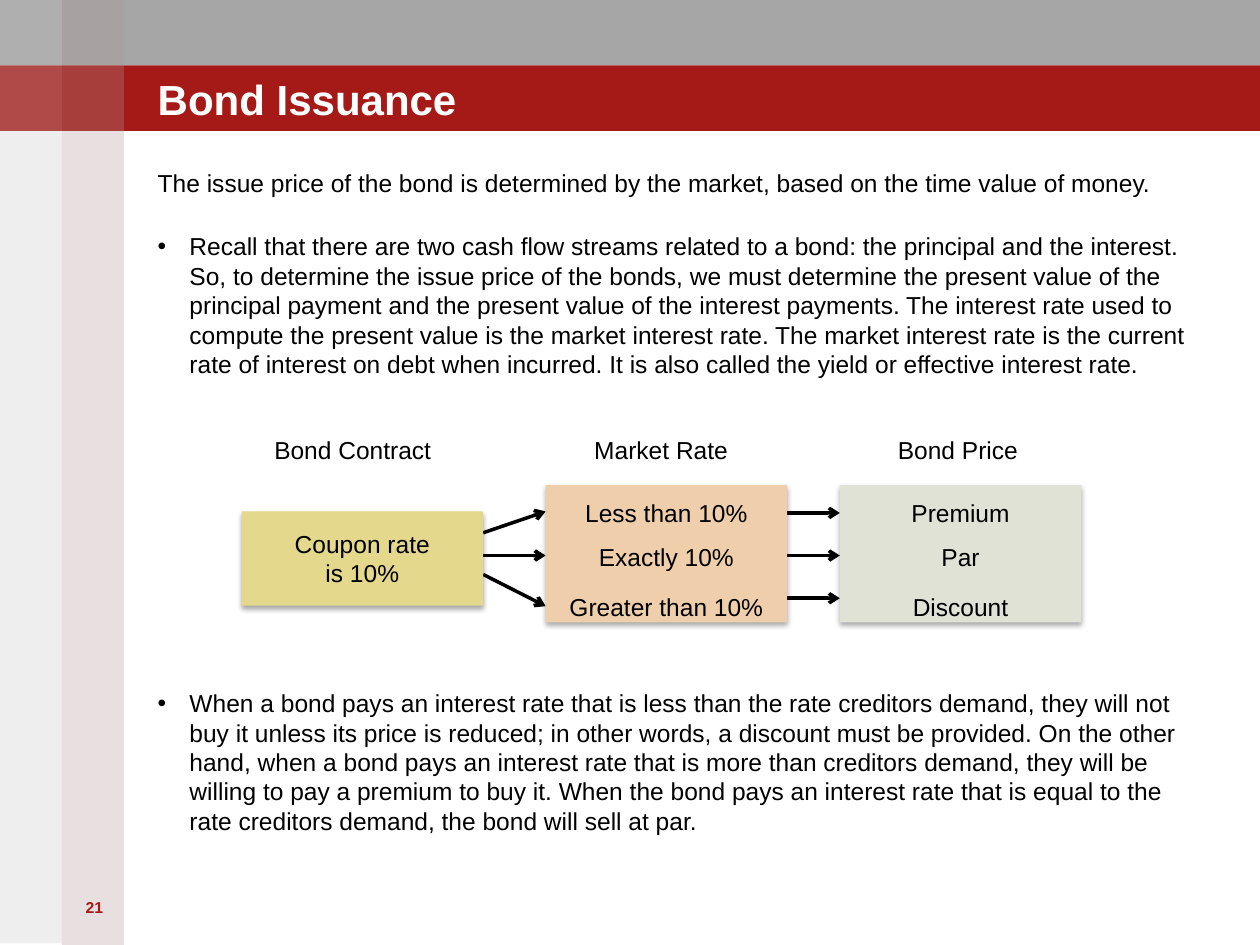
from lxml.etree import SubElement
from pptx import Presentation
from pptx.dml.color import RGBColor
from pptx.enum.shapes import MSO_CONNECTOR, MSO_SHAPE
from pptx.enum.text import MSO_ANCHOR, MSO_AUTO_SIZE, PP_ALIGN
from pptx.oxml.ns import qn
from pptx.util import Cm, Pt


def colour(hex_string):
    return RGBColor.from_string(hex_string)


def write(frame, lines, font, paragraph_formats, frame_format):
    """Fill a text frame, one paragraph format per line."""
    for name, value in frame_format.items():
        setattr(frame, name, value)
    for index, (line, paragraph_format) in enumerate(zip(lines, paragraph_formats)):
        paragraph = frame.paragraphs[0] if index == 0 else frame.add_paragraph()
        for name, value in paragraph_format.items():
            setattr(paragraph, name, value)
        run = paragraph.add_run()
        run.text = line
        for name, value in font.items():
            if name == "color":
                run.font.color.rgb = colour(value)
            else:
                setattr(run.font, name, value)


body_font = {"name": "Arial", "size": Pt(14), "color": "000000"}
title_font = {"name": "Arial", "size": Pt(24), "bold": True, "color": "FFFFFF"}
number_font = {"name": "Arial", "size": Pt(9), "bold": True, "color": "A51A17"}
wrapped = {"word_wrap": True, "auto_size": MSO_AUTO_SIZE.NONE}
flush = wrapped | {"margin_left": 0, "margin_top": 0, "margin_right": 0, "margin_bottom": 0}
centred = {"alignment": PP_ALIGN.CENTER}

deck = Presentation()
deck.slide_width, deck.slide_height = Cm(25.4), Cm(19.05)
slide = deck.slides.add_slide(deck.slide_layouts[1])
shapes = slide.shapes

# Bands across the top and translucent strips on the left: left, top, width, height, fill, opacity %
band, strip = 1.32, 1.25
backdrop = [
    (0, 0, 25.4, band, "A6A6A6", 100),
    (0, band, 25.4, band, "A51A17", 100),
    (strip, 0, strip, 19.05, "A08284", 25),
    (0, 0, strip, 19.02, "938F8F", 15),
]
for row in range(2):
    backdrop += [(strip, row * band, strip, band, "FFFFFF", 5),
                 (0, row * band, strip, band, "FFFFFF", 15)]
for left, top, width, height, fill, opacity in backdrop:
    panel = shapes.add_shape(MSO_SHAPE.RECTANGLE, Cm(left), Cm(top), Cm(width), Cm(height))
    panel.shadow.inherit = False
    panel.line.fill.background()
    panel.fill.solid()
    panel.fill.fore_color.rgb = colour(fill)
    if opacity < 100:
        tint = panel._element.spPr.find(".//" + qn("a:srgbClr"))
        SubElement(tint, qn("a:alpha"), val=str(opacity * 1000))

# Slide number
page_number = shapes.add_textbox(Cm(1.27), Cm(17.98), Cm(1.27), Cm(1.42))
write(page_number.text_frame, ["21"], number_font, [centred], wrapped)

# Title and body, placed in front of the bands
title, body = shapes.title, slide.placeholders[1]
for placeholder, top, height in [(title, 0.79, 1.7), (body, 3.38, 14.17)]:
    placeholder.left, placeholder.top = Cm(3.18), Cm(top)
    placeholder.width, placeholder.height = Cm(20.95), Cm(height)
    shapes._spTree.append(placeholder._element)
write(title.text_frame, ["Bond Issuance"], title_font, [{"alignment": PP_ALIGN.LEFT}],
      flush | {"vertical_anchor": MSO_ANCHOR.BOTTOM})

statements = [
    "The issue price of the bond is determined by the market, based on the time value of money.",
    "Recall that there are two cash flow streams related to a bond: the principal and the "
    "interest. So, to determine the issue price of the bonds, we must determine the present "
    "value of the principal payment and the present value of the interest payments. The "
    "interest rate used to compute the present value is the market interest rate. The market "
    "interest rate is the current rate of interest on debt when incurred. It is also called "
    "the yield or effective interest rate.",
    "When a bond pays an interest rate that is less than the rate creditors demand, they will "
    "not buy it unless its price is reduced; in other words, a discount must be provided. On "
    "the other hand, when a bond pays an interest rate that is more than creditors demand, "
    "they will be willing to pay a premium to buy it. When the bond pays an interest rate "
    "that is equal to the rate creditors demand, the bond will sell at par.",
]
gaps = [{"space_before": Pt(points)} for points in (0, 19.6, 177)]
write(body.text_frame, statements, body_font, gaps, flush)
for paragraph, indent, bullet in zip(body.text_frame.paragraphs, (0, 0.64, 0.64), ("", "•", "•")):
    properties = paragraph._p.get_or_add_pPr()
    properties.set("marL", str(Cm(indent)))
    properties.set("indent", str(-Cm(indent)))
    if bullet:
        SubElement(properties, qn("a:buChar"), char=bullet)
    else:
        SubElement(properties, qn("a:buNone"))

# Arrows: contract to market rates, then market rates to prices
arrows = [(9.74, 10.74, 11, 10.31), (9.74, 11.2, 11, 11.2), (9.74, 11.58, 11, 12.22)]
arrows += [(15.67, level, 16.93, level) for level in (10.34, 11.2, 12.06)]
for ends in arrows:
    arrow = shapes.add_connector(MSO_CONNECTOR.STRAIGHT, *map(Cm, ends))
    arrow.line.color.rgb = colour("000000")
    arrow.line.width = Pt(2)
    SubElement(arrow.line._get_or_add_ln(), qn("a:tailEnd"), type="arrow")
    SubElement(arrow._element.spPr, qn("a:effectLst"))

# Column headings, spaced by tab stops
headings = shapes.add_textbox(Cm(5.28), Cm(8.64), Cm(16.31), Cm(0.86))
write(headings.text_frame, ["Bond Contract\tMarket Rate\tBond Price"], body_font, [{}], wrapped)
tab_list = SubElement(headings.text_frame.paragraphs[0]._p.get_or_add_pPr(), qn("a:tabLst"))
for stop in (6.45, 12.57):
    SubElement(tab_list, qn("a:tab"), pos=str(Cm(stop)), algn="l")

# Diagram columns: left, box top, box height, fill, text top, text height, lines, line spacings
box_width, overhang = 4.87, 0.42
spread = (1.4, 1.5, 1.7)
columns = [
    (4.87, 10.31, 1.9, "E3D88C", 10.54, 1.45, ["Coupon rate", "is 10%"], (1, 1)),
    (11, 9.78, 2.77, "EFCFAB", 9.68, 2.87,
     ["Less than 10%", "Exactly 10%", "Greater than 10%"], spread),
    (16.93, 9.78, 2.77, "DFE2D5", 9.68, 2.87, ["Premium", "Par", "Discount"], spread),
]
for left, top, height, fill, text_top, text_height, lines, spacings in columns:
    box = shapes.add_shape(MSO_SHAPE.RECTANGLE, Cm(left), Cm(top), Cm(box_width), Cm(height))
    box.fill.solid()
    box.fill.fore_color.rgb = colour(fill)
    box.line.fill.background()
    box.shadow.inherit = False
    shadow = SubElement(box._element.spPr.find(qn("a:effectLst")), qn("a:outerShdw"),
                        blurRad=str(Pt(3.1)), dist=str(Pt(1.8)), dir="5400000", rotWithShape="0")
    shade = SubElement(shadow, qn("a:srgbClr"), val="000000")
    SubElement(shade, qn("a:alpha"), val="35000")

    label = shapes.add_textbox(Cm(left - overhang), Cm(text_top),
                               Cm(box_width + 2 * overhang), Cm(text_height))
    write(label.text_frame, lines, body_font,
          [centred | {"line_spacing": spacing} for spacing in spacings], wrapped)

deck.save("out.pptx")
